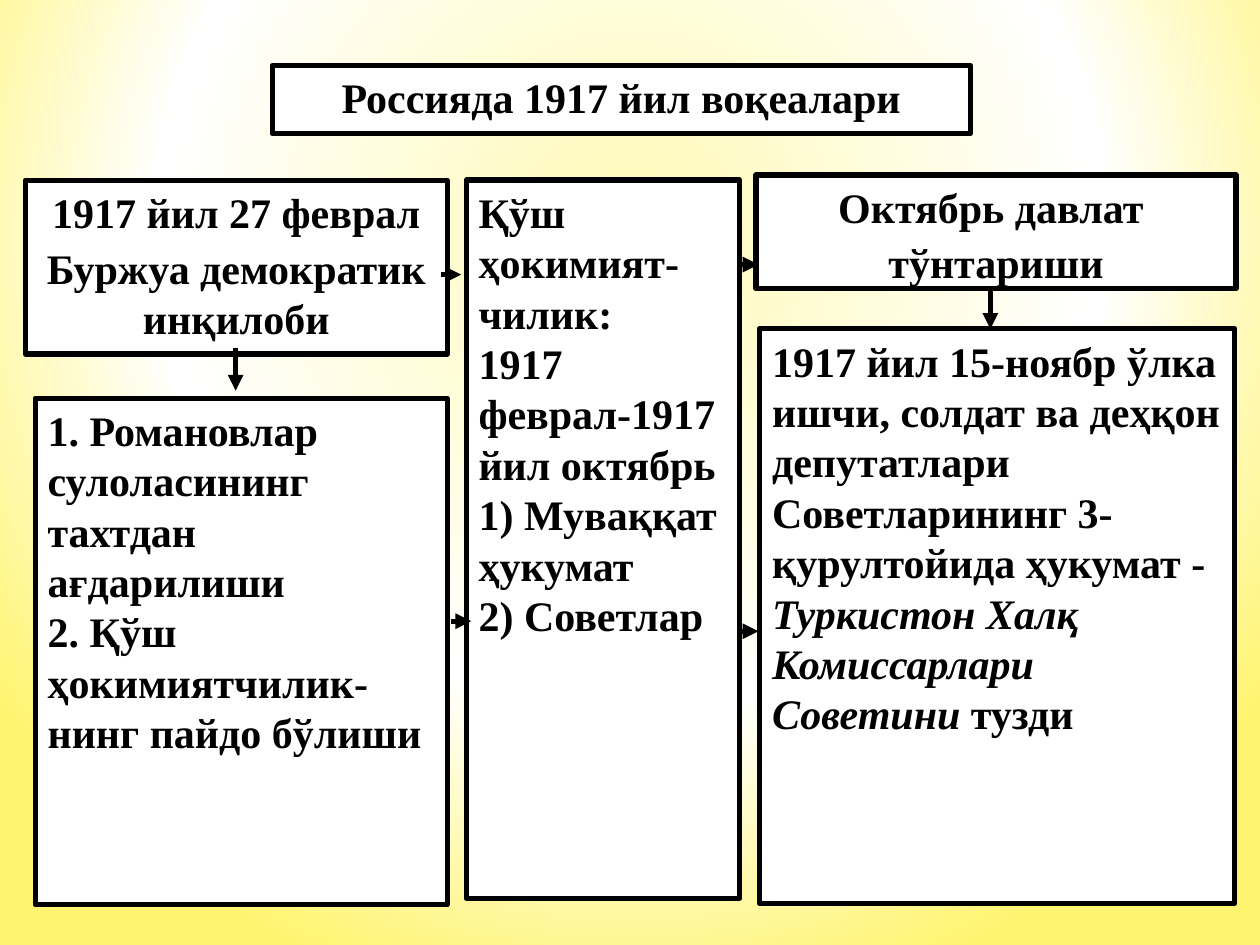
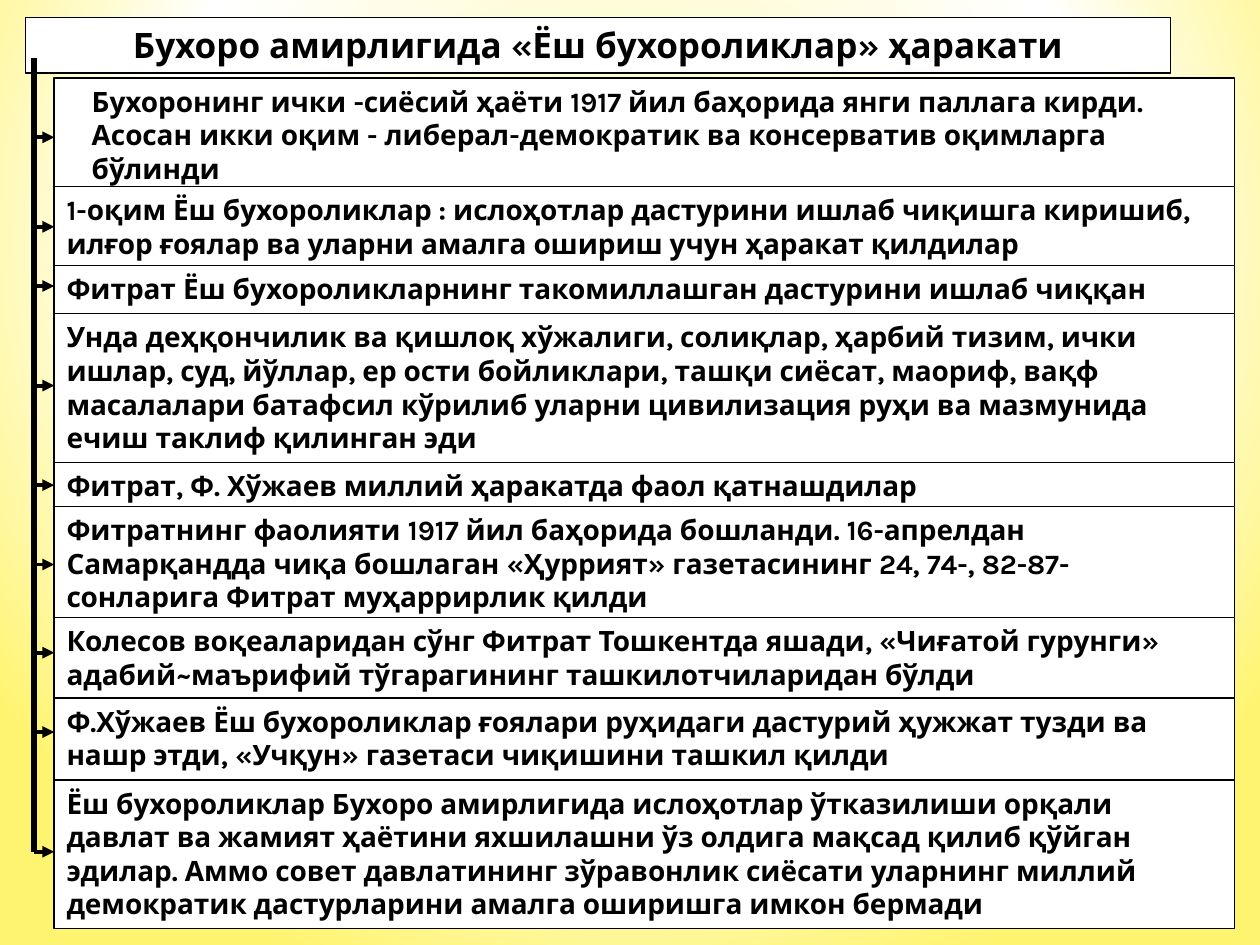
from lxml import etree
from pptx import Presentation
from pptx.dml.color import RGBColor
from pptx.enum.shapes import MSO_CONNECTOR, MSO_SHAPE
from pptx.enum.text import MSO_ANCHOR, MSO_AUTO_SIZE, PP_ALIGN
from pptx.oxml import parse_xml
from pptx.oxml.ns import nsdecls, qn
from pptx.util import Inches, Pt

RECT, STRAIGHT = MSO_SHAPE.RECTANGLE, MSO_CONNECTOR.STRAIGHT
LEFT, CENTER, TOP = PP_ALIGN.LEFT, PP_ALIGN.CENTER, MSO_ANCHOR.TOP
NO_FIT = MSO_AUTO_SIZE.NONE
BLACK, WHITE = "000000", "FFFFFF"
BG_STOPS = [(0, "FFF9B5"), (60, WHITE), (100, "FFF46F")]
BG_FOCUS = {"l": 20, "t": 10, "r": 20, "b": 60}
SERIF, SANS = "Times New Roman", "Karla"

# Slide 1: events of 1917
EVENTS_TITLE = "Россияда 1917 йил воқеалари"
# (left, top, width, height), alignment, space before, wrap, paragraphs
# A paragraph is a text, or a list of (text, italic) runs
EVENT_BOXES = [
    ((0.2, 1.43, 3.35, 1.38), CENTER, 3, True,
     ["1917 йил 27 феврал", "Буржуа демократик инқилоби"]),
    ((6, 1.39, 3.81, 0.9), CENTER, 3, False,
     ["Октябрь давлат ", "тўнтариши"]),
    ((3.7, 1.43, 2.17, 5.7), LEFT, 0, True,
     ["Қўш ҳокимият-чилик:", "1917 феврал-1917 йил октябрь",
      "1) Муваққат ҳукумат", "2) Советлар"]),
    ((0.28, 3.16, 3.27, 4.02), LEFT, 0, True,
     ["1. Романовлар сулоласининг тахтдан ағдарилиши",
      "2. Қўш ҳокимиятчилик-нинг пайдо бўлиши"]),
    ((6.03, 2.61, 3.77, 4.56), LEFT, 0, True,
     [[("1917 йил 15-ноябр ўлка ишчи, солдат ва деҳқон депутатлари "
        "Советларининг 3-қурултойида ҳукумат - ", False),
       ("Туркистон Халқ Комиссарлари Советини ", True),
       ("тузди", False)]]),
]
EVENT_ARROWS = [
    (1.87, 2.76, 1.87, 3.1), (7.86, 2.27, 7.86, 2.61),
    (3.5, 2.18, 3.66, 2.18), (3.58, 4.93, 3.74, 4.93),
    (5.87, 2.1, 6.02, 2.1), (5.87, 5.01, 6.02, 5.01),
]

# Slide 2: the Young Bukharans
BUKHARA_TITLE = "Бухоро амирлигида «Ёш бухороликлар» ҳаракати"
# top, number of text lines, arrow height on the slide, text
BUKHARA_ROWS = [
    (0.62, 3, 1.09, "Бухоронинг ички -сиёсий ҳаёти 1917 йил баҳорида янги "
     "паллага кирди. Асосан икки оқим - либерал-демократик ва консерватив "
     "оқимларга бўлинди"),
    (1.48, 2, 1.8, "1-оқим Ёш бухороликлар : ислоҳотлар дастурини ишлаб "
     "чиқишга киришиб, илғор ғоялар ва уларни амалга ошириш учун ҳаракат "
     "қилдилар"),
    (2.11, 1, 2.27, "Фитрат Ёш бухороликларнинг такомиллашган дастурини "
     "ишлаб чиққан"),
    (2.49, 4, 3.06, "Унда деҳқончилик ва қишлоқ хўжалиги, солиқлар, ҳарбий "
     "тизим, ички ишлар, суд, йўллар, ер ости бойликлари, ташқи сиёсат, "
     "маориф, вақф масалалари батафсил кўрилиб уларни цивилизация руҳи ва "
     "мазмунида ечиш таклиф қилинган эди"),
    (3.67, 1, 3.85, "Фитрат, Ф. Хўжаев миллий ҳаракатда фаол қатнашдилар"),
    (4.02, 3, 4.48, "Фитратнинг фаолияти 1917 йил баҳорида бошланди. "
     "16-апрелдан Самарқандда чиқа бошлаган «Ҳуррият» газетасининг 24, 74-, "
     "82-87-сонларига Фитрат муҳаррирлик қилди"),
    (4.9, 2, 5.18, "Колесов воқеаларидан сўнг Фитрат Тошкентда яшади, "
     "«Чиғатой гурунги» адабий~маърифий тўгарагининг ташкилотчиларидан "
     "бўлди"),
    (5.54, 2, 5.81, "Ф.Хўжаев Ёш бухороликлар ғоялари руҳидаги дастурий "
     "ҳужжат тузди ва нашр этди, «Учқун» газетаси чиқишини ташкил қилди"),
    (6.19, 4, 6.76, "Ёш бухороликлар Бухоро амирлигида ислоҳотлар "
     "ўтказилиши орқали давлат ва жамият ҳаётини яхшилашни ўз олдига мақсад "
     "қилиб қўйган эдилар. Аммо совет давлатининг зўравонлик сиёсати "
     "уларнинг миллий демократик дастурларини амалга оширишга имкон "
     "бермади"),
]
ROW_LEFT, ROW_WIDTH = 0.43, 9.37
ROW_PAD, ROW_LINE = 0.12, 0.265
SPINE_X, SPINE_TOP = 0.27, 0.46


def color(value):
    return RGBColor.from_string(value)


def set_background(master):
    """Give every slide the soft round yellow gradient."""
    master.background.fill.gradient()
    stops = "".join(f'<a:gs pos="{pos * 1000}"><a:srgbClr val="{c}"/></a:gs>'
                    for pos, c in BG_STOPS)
    focus = " ".join(f'{side}="{v * 1000}"' for side, v in BG_FOCUS.items())
    grad = parse_xml(
        f'<a:gradFill {nsdecls("a")} rotWithShape="1"><a:gsLst>{stops}</a:gsLst>'
        f'<a:path path="circle"><a:fillToRect {focus}/></a:path></a:gradFill>')
    old = master.element.find(".//" + qn("a:gradFill"))
    old.getparent().replace(old, grad)


def format_box(sp, box, paragraphs, font, size, border, align=LEFT, before=0,
               wrap=True):
    """Place a white framed box and fill it with bold black text."""
    sp.left, sp.top, sp.width, sp.height = map(Inches, box)
    sp.fill.solid()
    sp.fill.fore_color.rgb = color(WHITE)
    sp.line.color.rgb = color(BLACK)
    sp.line.width = Pt(border)
    tf = sp.text_frame
    tf.auto_size, tf.word_wrap, tf.vertical_anchor = NO_FIT, wrap, TOP
    for i, runs in enumerate(paragraphs):
        p = tf.add_paragraph() if i else tf.paragraphs[0]
        p.alignment, p.space_before = align, Pt(before)
        p.font.name, p.font.size, p.font.bold = font, Pt(size), True
        p.font.color.rgb = color(BLACK)
        if isinstance(runs, str):
            runs = [(runs, False)]
        for text, italic in runs:
            r = p.add_run()
            r.text = text
            if italic:
                r.font.italic = True


def add_box(s, *args, **kwargs):
    sp = s.shapes.add_shape(RECT, 0, 0, 0, 0)
    sp.shadow.inherit = False
    format_box(sp, *args, **kwargs)
    return sp


def add_line(s, ends, width, arrow=True):
    line = s.shapes.add_connector(STRAIGHT, *map(Inches, ends))
    line.line.color.rgb = color(BLACK)
    line.line.width = Pt(width)
    if arrow:
        ln = line.line._get_or_add_ln()
        etree.SubElement(ln, qn("a:tailEnd"), type="triangle")
    etree.SubElement(line._element.spPr, qn("a:effectLst"))


def build_events(s):
    format_box(s.shapes.title, (2.16, 0.52, 5.54, 0.54), [EVENTS_TITLE],
               SERIF, 24, 3, CENTER, 3)
    for box, align, before, wrap, paragraphs in EVENT_BOXES:
        add_box(s, box, paragraphs, SERIF, 24, 3, align, before, wrap)
    for ends in EVENT_ARROWS:
        add_line(s, ends, 3)


def build_bukhara(s):
    format_box(s.shapes.title, (0.2, 0.14, 9.09, 0.44), [BUKHARA_TITLE],
               SANS, 20, 0.75, CENTER)
    # Stacked rows, as high as their lines of text
    for i, (top, lines, _, text) in enumerate(BUKHARA_ROWS):
        box = (ROW_LEFT, top, ROW_WIDTH, ROW_PAD + ROW_LINE * lines)
        sp = add_box(s, box, [text], SANS, 16, 0.75, before=3)
        if i == 0:
            pPr = sp.text_frame.paragraphs[0]._p.get_or_add_pPr()
            pPr.set("marL", str(Inches(0.2)))
            pPr.set("indent", "0")
    # Spine with one arrow to each row
    add_line(s, (SPINE_X, SPINE_TOP, SPINE_X, BUKHARA_ROWS[-1][2]), 3, False)
    for _, _, y, _ in BUKHARA_ROWS:
        add_line(s, (SPINE_X, y, ROW_LEFT, y), 2.25)


def main():
    prs = Presentation()
    prs.slide_width, prs.slide_height = Inches(10), Inches(7.5)
    set_background(prs.slide_master)
    for build in (build_events, build_bukhara):
        build(prs.slides.add_slide(prs.slide_layouts[5]))
    prs.save("out.pptx")


if __name__ == "__main__":
    main()
